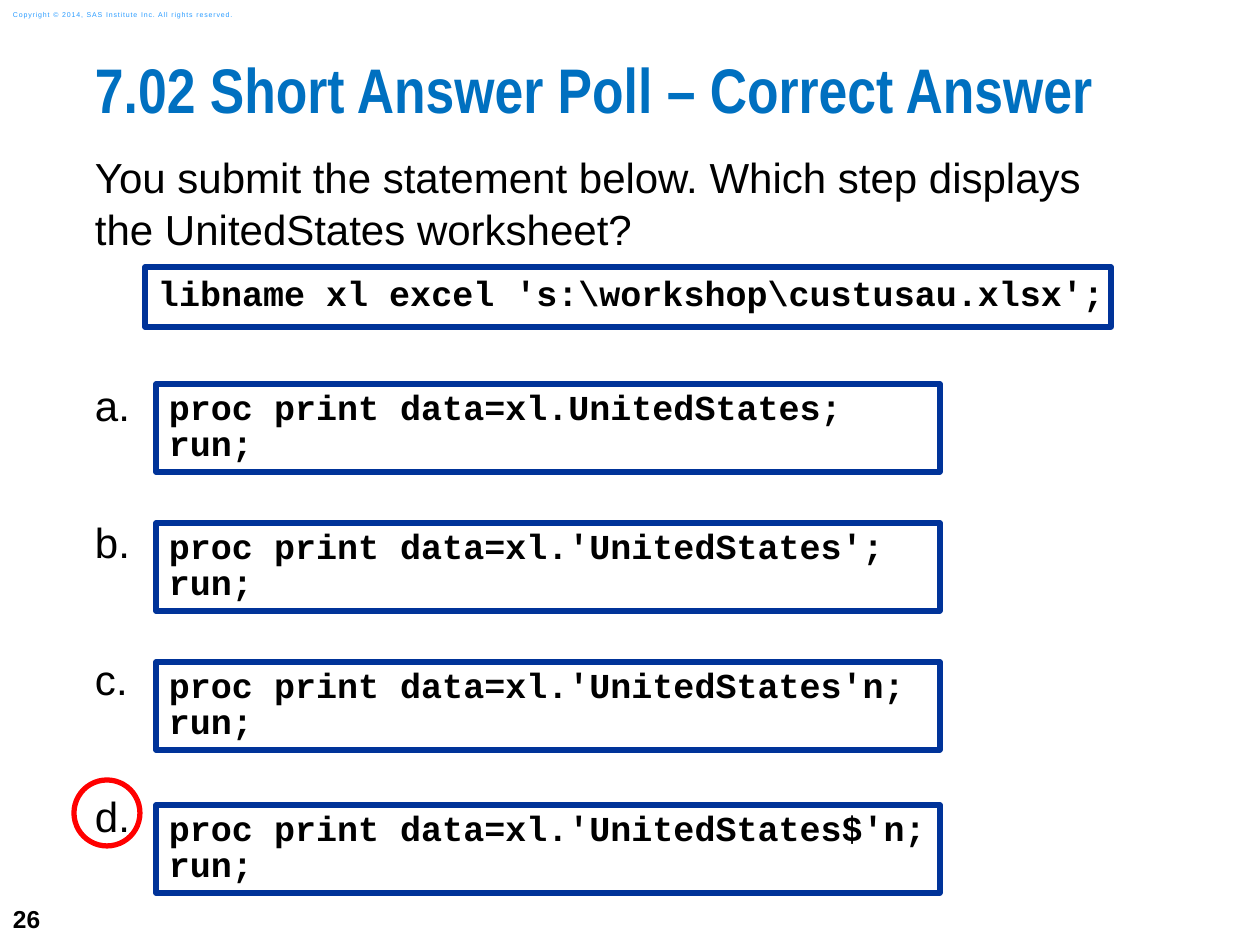
import pptx
import pptx.dml.color
import pptx.enum.shapes
import pptx.enum.text
import pptx.util
from lxml import etree

PX = 914400 / 126
ANCHOR = pptx.enum.text.MSO_ANCHOR
SHAPE = pptx.enum.shapes.MSO_SHAPE

LIBNAME = r"libname xl excel 's:\workshop\custusau.xlsx';"
QUESTION = ("You submit the statement below. Which step displays \v"
            "the UnitedStates worksheet?")
# letter, data set name, top of the code box
ANSWERS = [
    ("a.", "UnitedStates", 384),
    ("b.", "'UnitedStates'", 523),
    ("c.", "'UnitedStates'n", 662),
    ("d.", "'UnitedStates$'n", 805),
]


def px(n):
    return pptx.util.Emu(round(n * PX))


def color(value):
    return pptx.dml.color.RGBColor.from_string(value)


def place(sp, box):
    sp.left, sp.top, sp.width, sp.height = map(px, box)


def write(sp, lines, size, font="Arial", fill="000000", bold=False, spacing=1.0,
          before=None, anchor=ANCHOR.TOP, insets=(0, 0, 0, 0), wrap=True):
    """Fill a shape with one paragraph per line; before lists the gaps in points."""
    tf = sp.text_frame
    tf.text = "\n".join(lines)
    tf.auto_size = pptx.enum.text.MSO_AUTO_SIZE.NONE
    tf.word_wrap = wrap
    tf.vertical_anchor = anchor
    tf.margin_left, tf.margin_top, tf.margin_right, tf.margin_bottom = map(px, insets)
    for p, gap in zip(tf.paragraphs, before or [0] * len(lines)):
        p.alignment = pptx.enum.text.PP_ALIGN.LEFT
        p.line_spacing = spacing
        p.space_before = pptx.util.Pt(gap)
        p.space_after = pptx.util.Pt(0)
        for r in p.runs:
            r.font.size = pptx.util.Pt(size)
            r.font.name = font
            r.font.bold = bold
            r.font.color.rgb = color(fill)


def remove_bullets(sp):
    for p in sp.text_frame.paragraphs:
        pPr = p._p.get_or_add_pPr()
        pPr.set("marL", "0")
        pPr.set("indent", "0")
        etree.SubElement(pPr, pptx.oxml.ns.qn("a:buNone"))


def add_outline(slide, kind, box, line, fill=None):
    sp = slide.shapes.add_shape(kind, *map(px, box))
    sp.shadow.inherit = False
    if fill:
        sp.fill.solid()
        sp.fill.fore_color.rgb = color(fill)
    else:
        sp.fill.background()
    sp.line.color.rgb = color(line)
    sp.line.width = pptx.util.Pt(3)
    return sp


def add_code(slide, box, lines, **fmt):
    sp = add_outline(slide, SHAPE.RECTANGLE, box, "003399", "FFFFFF")
    write(sp, lines, 20, "Courier New", bold=True, spacing=0.85, wrap=False, **fmt)


def add_label(slide, box, text, size, **fmt):
    sp = slide.shapes.add_textbox(*map(px, box))
    write(sp, [text], size, anchor=ANCHOR.MIDDLE, insets=(13, 6, 13, 6),
          wrap=False, **fmt)
    return sp


def add_frame(slide):
    """Add the page number and the copyright line."""
    add_label(slide, (0, 892, 73, 53), "26", 14, bold=True)
    sp = add_label(slide, (0, 4, 266, 21),
                   "Copyright © 2014, SAS Institute Inc. All rights reserved.",
                   4, fill="2A9CFF")
    for r in sp.text_frame.paragraphs[0].runs:
        r.font._element.set("spc", "50")


def add_question(slide, box):
    """Fill the body with the question and the answer letters."""
    body = slide.placeholders[1]
    place(body, box)
    body.text_frame.text = "\n".join([QUESTION] + [a[0] for a in ANSWERS])
    write(body, [QUESTION] + [a[0] for a in ANSWERS], 24, spacing=1.04,
          before=[0, 70.7, 48.4, 48.4, 48.4])
    remove_bullets(body)


def add_answers(slide, left, width, height):
    add_outline(slide, SHAPE.OVAL, (left - 82, 780, 66, 66), "FF0000")
    for _, data, top in ANSWERS:
        add_code(slide, (left, top, width, height),
                 [f"proc print data=xl.{data};", "run;"], insets=(13, 8, 8, 8))


def main():
    prs = pptx.Presentation()
    prs.slide_width, prs.slide_height = px(1260), px(945)
    slide = prs.slides.add_slide(prs.slide_layouts[1])
    add_frame(slide)
    title = slide.shapes.title
    place(title, (95, 63, 1165, 93))
    write(title, ["7.02 Short Answer Poll – Correct Answer"], 36, "Arial Narrow",
          fill="0070C0", bold=True, spacing=0.83)
    add_question(slide, (95, 149, 1081, 786))
    add_answers(slide, 156, 784, 88)
    add_code(slide, (145, 267, 966, 60), [LIBNAME], anchor=ANCHOR.BOTTOM,
             insets=(13, 13, 0, 13))
    prs.save("out.pptx")


if __name__ == "__main__":
    main()
